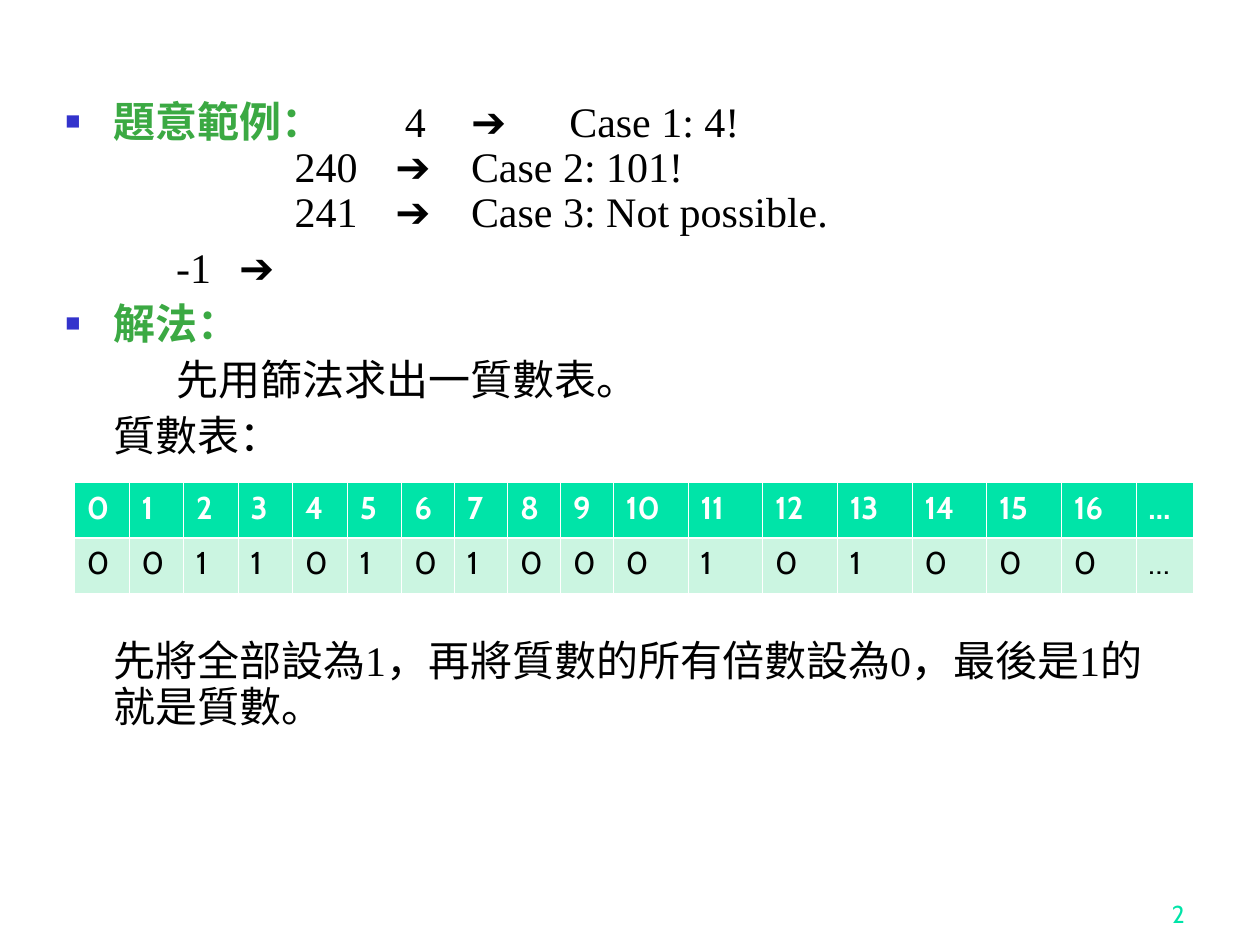
from dataclasses import dataclass

import pptx
import pptx.dml.color
import pptx.enum.text
import pptx.oxml
import pptx.oxml.ns
import pptx.util

Inches = pptx.util.Inches
Pt = pptx.util.Pt

COLORS = {
    "heading": "3BA943",
    "bullet": "3333CC",
    "text": "000000",
    "accent": "00E4A8",
    "row": "CBF5E1",
    "white": "FFFFFF",
}
SERIF, ARROW_FONT, TABLE_FONT = "Times New Roman", "Arial", "Cabin"
ARROW = "➔"
INDENT = 0.38


@dataclass
class Line:
    """One body paragraph: a green heading and/or plain text."""
    heading: str = ""
    text: str = ""
    tabs: tuple[float, ...] = ()  # inches from the indent
    space_before: float = 6


@dataclass
class TableRow:
    values: list[str]
    fill: str
    color: str
    bold: bool
    top: float  # border widths in points
    bottom: float


def rgb(name: str) -> pptx.dml.color.RGBColor:
    return pptx.dml.color.RGBColor.from_string(COLORS[name])


def element(tag: str, inner: str = "", **attributes):
    values = " ".join(f'{key}="{value}"' for key, value in attributes.items())
    namespace = pptx.oxml.ns.nsdecls("a")
    return pptx.oxml.parse_xml(f"<a:{tag} {namespace} {values}>{inner}</a:{tag}>")


def solid(name: str) -> str:
    return f'<a:solidFill><a:srgbClr val="{COLORS[name]}"/></a:solidFill>'


def add_text(paragraph, text: str, *, size: float = 24, font: str = SERIF,
             color: str = "text", bold: bool = False) -> None:
    """Add formatted text; a newline becomes a line break."""
    for index, part in enumerate(text.split("\n")):
        if index:
            paragraph.add_line_break()
        if part:
            run = paragraph.add_run()
            run.text = part
            run.font.size = Pt(size)
            run.font.name = font
            run.font.bold = bold
            run.font.color.rgb = rgb(color)


def add_frame(slide, left: float, top: float, width: float, height: float):
    box = slide.shapes.add_textbox(
        Inches(left), Inches(top), Inches(width), Inches(height))
    box.text_frame.word_wrap = True
    return box.text_frame


def add_line(paragraph, line: Line, first: bool) -> None:
    properties = paragraph._p.get_or_add_pPr()
    properties.set("marL", str(Inches(INDENT)))
    properties.set("indent", str(Inches(-INDENT if line.heading else 0)))
    if line.heading:
        properties.append(element(
            "buClr", f'<a:srgbClr val="{COLORS["bullet"]}"/>'))
        properties.append(element("buSzPct", val=60000))
        properties.append(element("buFont", typeface=ARROW_FONT))
        properties.append(element("buChar", char="■"))
    if line.tabs:
        stops = "".join(f'<a:tab pos="{Inches(stop)}" algn="l"/>' for stop in line.tabs)
        properties.append(element("tabLst", stops))
    paragraph.line_spacing = 0.9
    paragraph.space_before = Pt(0 if first else line.space_before)

    if line.heading:
        add_text(paragraph, line.heading, color="heading", bold=True)
    for index, part in enumerate(line.text.split(ARROW)):
        if index:
            add_text(paragraph, ARROW, font=ARROW_FONT)
        add_text(paragraph, part)


def add_border(cell, side: str, width: float) -> None:
    cell._tc.get_or_add_tcPr().append(element(f"ln{side}", solid("white"), w=Pt(width)))


def add_prime_table(slide, rows: list[TableRow], widths: list[float],
                    left: float, top: float, row_height: float) -> None:
    table = slide.shapes.add_table(
        len(rows), len(widths), Inches(left), Inches(top),
        Inches(sum(widths)), Inches(row_height * len(rows))).table
    table.horz_banding = False
    for column, width in zip(table.columns, widths):
        column.width = Inches(width)
    for row_index, row in enumerate(rows):
        for column_index, value in enumerate(row.values):
            cell = table.cell(row_index, column_index)
            for side, width in (("L", 0.45), ("R", 0.45),
                                ("T", row.top), ("B", row.bottom)):
                add_border(cell, side, width)
            cell.fill.solid()
            cell.fill.fore_color.rgb = rgb(row.fill)
            add_text(cell.text_frame.paragraphs[0], value, size=18,
                     font=TABLE_FONT, color=row.color, bold=row.bold)


BODY = [
    Line("題意範例：",
         "\t 4\t➔\tCase 1: 4!\n\t240\t➔\tCase 2: 101!\n\t241\t➔\tCase 3: Not possible.",
         tabs=(1.82, 2.62, 3.22)),
    Line(text="\t-1\t➔", tabs=(2.25, 3)),
    Line("解法："),
    Line(text="\t先用篩法求出一質數表。", tabs=(1,)),
    Line(text="質數表："),
    # The space before leaves room for the table
    Line(text="先將全部設為1，再將質數的所有倍數設為0，最後是1的就是質數。",
         space_before=103),
]

NUMBERS = range(17)
PRIMES = {2, 3, 5, 7, 11, 13}
ROWS = [
    TableRow([str(n) for n in NUMBERS] + ["…"], "accent", "white", True, 0.45, 1.47),
    TableRow([str(int(n in PRIMES)) for n in NUMBERS] + ["…"],
             "row", "text", False, 1.47, 0.45),
]
# Column groups: how many columns share a total width
COLUMN_GROUPS = [(6, 2.6), (4, 1.68), (7, 4.15), (1, 0.46)]
WIDTHS = [total / count for count, total in COLUMN_GROUPS for _ in range(count)]


def main() -> None:
    presentation = pptx.Presentation()
    presentation.slide_width = Inches(10)
    presentation.slide_height = Inches(7.5)
    slide = presentation.slides.add_slide(presentation.slide_layouts[6])

    # Slide number
    number_frame = add_frame(slide, 7.42, 6.92, 2.08, 0.5)
    number_frame.vertical_anchor = pptx.enum.text.MSO_ANCHOR.BOTTOM
    page_number = number_frame.paragraphs[0]
    page_number.alignment = pptx.enum.text.PP_ALIGN.RIGHT
    add_text(page_number, "2", size=14, font=TABLE_FONT, color="accent")

    # Problem examples and solution
    body = add_frame(slide, 0.42, 0.75, 8.83, 6.39)
    for index, line in enumerate(BODY):
        paragraph = body.add_paragraph() if index else body.paragraphs[0]
        add_line(paragraph, line, first=index == 0)

    # Prime table
    add_prime_table(slide, ROWS, WIDTHS, left=0.59, top=3.83, row_height=0.44)

    presentation.save("out.pptx")


if __name__ == "__main__":
    main()
